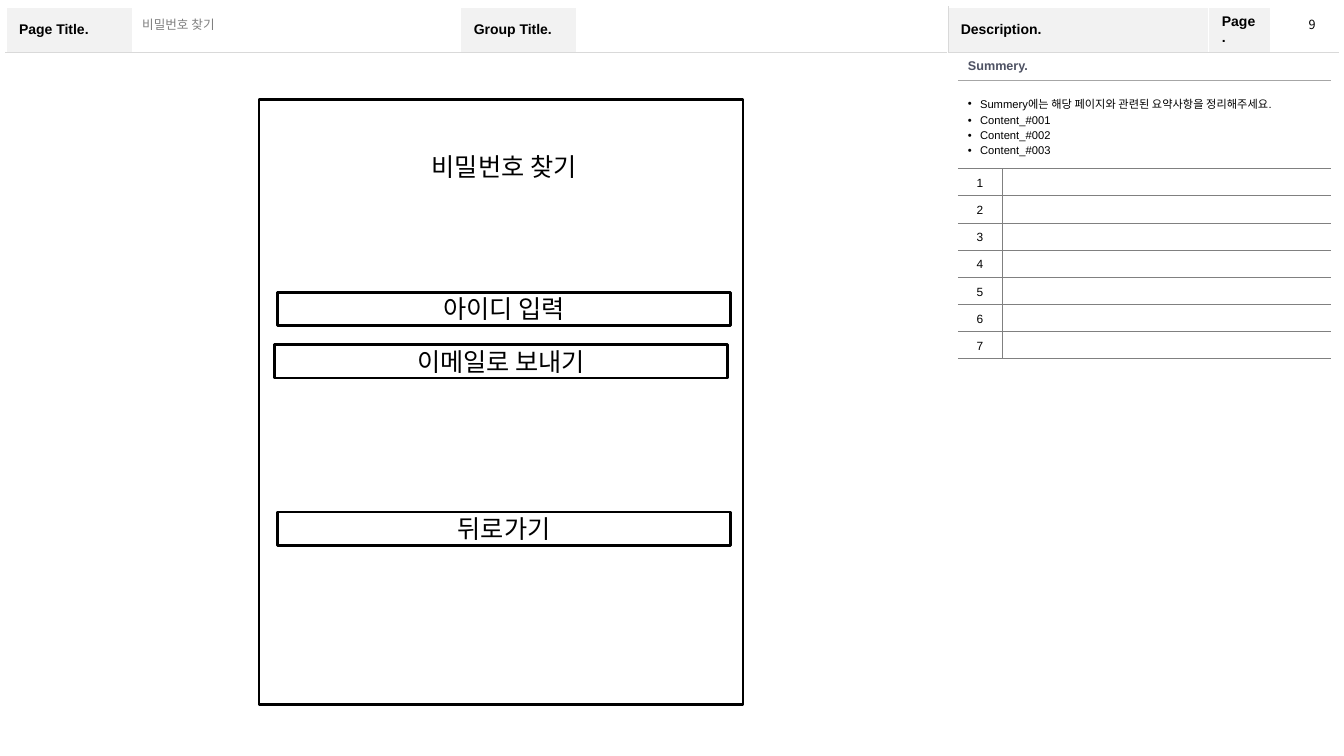
from lxml import etree
from pptx import Presentation
from pptx.dml.color import RGBColor
from pptx.enum.shapes import MSO_SHAPE
from pptx.enum.text import MSO_ANCHOR, PP_ALIGN
from pptx.oxml.ns import qn
from pptx.util import Inches, Pt

RECT = MSO_SHAPE.RECTANGLE
MID, TOP = MSO_ANCHOR.MIDDLE, MSO_ANCHOR.TOP
LEFT, CENTER, JUST = PP_ALIGN.LEFT, PP_ALIGN.CENTER, PP_ALIGN.JUSTIFY
LATIN, KOREAN = "Arial", "Noto Sans CJK KR"

TITLE = "비밀번호 찾기"
HEADS = {0: "Page Title.", 2: "Group Title.", 4: "Description.", 5: "Page."}
PAGE = "9"
SUMMARY = "Summery."
NOTES = ["Summery에는 해당 페이지와 관련된 요약사항을 정리해주세요."]
NOTES += [f"Content_#{n:03}" for n in range(1, 4)]
STEPS = 7
FIELDS = [
    (TITLE, 2.75, 1.49, False),
    ("아이디 입력", 2.75, 2.9, True),
    ("이메일로 보내기", 2.72, 3.42, True),
    ("뒤로가기", 2.75, 5.08, True),
]
FRAME = (2.57, 0.99, 4.8, 6)
FIELD_W, FIELD_H = 4.5, 0.33
HEAD_COLS = [1.26, 3.25, 1.15, 3.68, 2.59, 0.61, 0.68]
HEAD_ROWS = [0.44, 6.66]
SIDE_COLS = [0.44, 3.26]
SIDE_ROWS = [0.28, 0.87] + [0.27] * STEPS
SPLIT = 4
PALE, MIST, GREY, WHITE = "D9D9D9", "A6A6A6", "808080", "FFFFFF"


def color(code):
    return RGBColor.from_string(code)


def write(para, text, size, code="000000", bold=False, font=LATIN, align=LEFT):
    para.alignment = align
    run = para.add_run()
    run.text = text
    run.font.size = Pt(size)
    run.font.bold = bold
    run.font.name = font
    run.font.color.rgb = color(code)
    east = etree.SubElement(run._r.get_or_add_rPr(), qn("a:ea"))
    east.set("typeface", KOREAN)


def bullet(para):
    props = para._p.get_or_add_pPr()
    props.set("marL", str(Inches(0.12)))
    props.set("indent", str(-Inches(0.12)))
    etree.SubElement(props, qn("a:buFont")).set("typeface", LATIN)
    etree.SubElement(props, qn("a:buChar")).set("char", "•")


def border(cell, edges):
    props = cell._tc.get_or_add_tcPr()
    for spot, side in enumerate("LRTB"):
        line = etree.Element(qn(f"a:ln{side}"))
        if side in edges:
            code, width = edges[side]
            line.set("w", str(Pt(width)))
            fill = etree.SubElement(line, qn("a:solidFill"))
            etree.SubElement(fill, qn("a:srgbClr")).set("val", code)
        else:
            etree.SubElement(line, qn("a:noFill"))
        props.insert(spot, line)


def grid(slide, x, y, cols, rows, edges):
    size = [Inches(v) for v in (x, y, sum(cols), sum(rows))]
    table = slide.shapes.add_table(len(rows), len(cols), *size).table
    table.first_row = table.horz_banding = False
    for col, width in zip(table.columns, cols):
        col.width = Inches(width)
    for r, height in enumerate(rows):
        table.rows[r].height = Inches(height)
        for c in range(len(cols)):
            cell = table.cell(r, c)
            cell.fill.background()
            cell.vertical_anchor = MID
            border(cell, edges(r, c))
            end = etree.SubElement(cell.text_frame.paragraphs[0]._p, qn("a:endParaRPr"))
            end.set("sz", "850")
    return table


def head_edges(r, c):
    edges = {side: (WHITE, 1) for side in "LRTB"}
    edges["T" if r else "B"] = (PALE, 0.25)
    if c in (SPLIT - 1, SPLIT):
        edges["L" if c == SPLIT else "R"] = (PALE, 0.25)
    return edges


def side_edges(r, c):
    edges = {"B": (GREY if r else MIST, 0.25)}
    if r:
        edges["T"] = (MIST if r == 1 else GREY, 0.25)
    if r > 1:
        edges["R" if c == 0 else "L"] = (GREY, 0.25)
        if c:
            edges.pop("R", None)
    return edges


def box(slide, x, y, wide, high):
    shape = slide.shapes.add_shape(RECT, *[Inches(v) for v in (x, y, wide, high)])
    shape.shadow.inherit = False
    shape.fill.background()
    shape.line.color.rgb = color("000000")
    shape.line.width = Pt(2)
    return shape


def label(slide, x, y, wide, high):
    return slide.shapes.add_textbox(*[Inches(v) for v in (x, y, wide, high)])


deck = Presentation()
deck.slide_width, deck.slide_height = Inches(13.33), Inches(7.5)
slide = deck.slides.add_slide(deck.slide_layouts[5])

head = grid(slide, 0.06, 0.07, HEAD_COLS, HEAD_ROWS, head_edges)
for c, text in HEADS.items():
    cell = head.cell(0, c)
    cell.fill.solid()
    cell.fill.fore_color.rgb = color("F2F2F2")
    cell.margin_left = cell.margin_right = Inches(0.13)
    cell.margin_top = cell.margin_bottom = Inches(0.07)
    write(cell.text_frame.paragraphs[0], text, 10, bold=True)
head.cell(1, 0).merge(head.cell(1, SPLIT - 1))
head.cell(1, SPLIT).merge(head.cell(1, len(HEAD_COLS) - 1))

title = slide.shapes.title
title.left, title.top = Inches(1.31), Inches(0.12)
title.width, title.height = Inches(3.24), Inches(0.24)
title.text_frame.vertical_anchor = MID
write(title.text_frame.paragraphs[0], TITLE, 9, GREY)

side = grid(slide, 9.5, 0.52, SIDE_COLS, SIDE_ROWS, side_edges)
for r in range(2):
    side.cell(r, 0).merge(side.cell(r, 1))
write(side.cell(0, 0).text_frame.paragraphs[0], SUMMARY, 9, "4E5263", True)
notes = side.cell(1, 0).text_frame
for n, text in enumerate(NOTES):
    para = notes.add_paragraph() if n else notes.paragraphs[0]
    para.line_spacing = 1.2
    write(para, text, 8, align=JUST)
    bullet(para)
for n in range(STEPS):
    para = side.cell(n + 2, 0).text_frame.paragraphs[0]
    para.line_spacing = 1.2
    write(para, str(n + 1), 8.5, align=CENTER)

page = label(slide, 12.88, 0.12, 0.27, 0.25).text_frame
page.word_wrap = False
page.vertical_anchor = TOP
write(page.paragraphs[0], PAGE, 9, font=KOREAN)

box(slide, *FRAME)
for text, x, y, framed in FIELDS:
    make = box if framed else label
    frame = make(slide, x, y, FIELD_W, FIELD_H).text_frame
    frame.word_wrap = True
    frame.vertical_anchor = MID
    write(frame.paragraphs[0], text, 18, font=KOREAN, align=CENTER)

deck.save("out.pptx")
